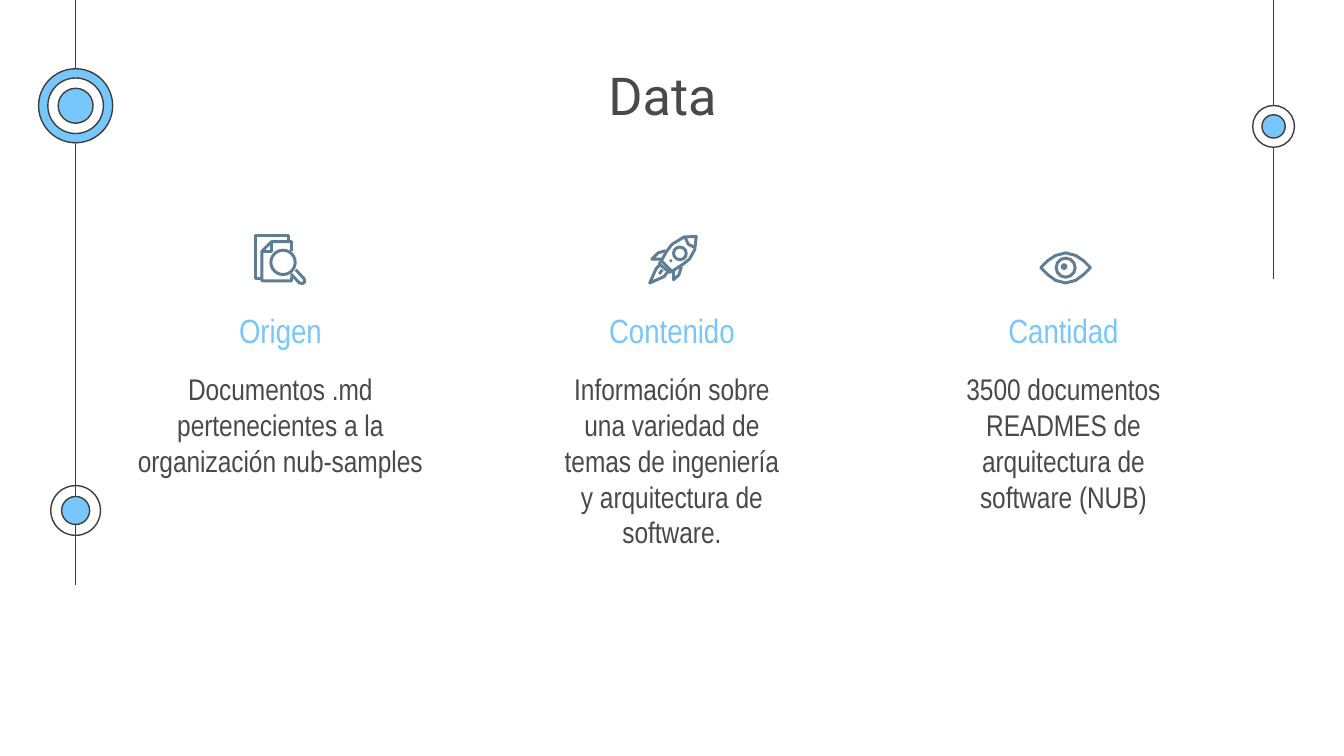
"""Build the "Data" slide: three icon columns between two decorated side lines."""
from dataclasses import dataclass

from lxml import etree
from pptx import Presentation
from pptx import util as u
from pptx.dml.color import RGBColor
from pptx.enum import shapes, text
from pptx.oxml.ns import qn


@dataclass(frozen=True)
class Theme:
    dark: RGBColor = RGBColor.from_string("3D3D3D")
    ink: RGBColor = RGBColor.from_string("494949")
    sky: RGBColor = RGBColor.from_string("77C6FC")
    white: RGBColor = RGBColor.from_string("FFFFFF")
    steel: RGBColor = RGBColor.from_string("5F7D95")
    title_font: str = "Roboto"
    body_font: str = "Arial Narrow"
    title_size: u.Pt = u.Pt(28)
    heading_size: u.Pt = u.Pt(18)
    body_size: u.Pt = u.Pt(16)
    thin: u.Pt = u.Pt(0.75)
    stroke: u.Pt = u.Pt(1.6)


theme = Theme()
presentation = Presentation()
presentation.slide_width, presentation.slide_height = u.Cm(25.4), u.Cm(14.29)
slide = presentation.slides.add_slide(presentation.slide_layouts[6])


def add_circle(x, y, diameter, fill, line, width):
    left, top = u.Cm(x - diameter / 2), u.Cm(y - diameter / 2)
    circle = slide.shapes.add_shape(
        shapes.MSO_SHAPE.OVAL, left, top, u.Cm(diameter), u.Cm(diameter))
    circle.shadow.inherit = False
    if fill is None:
        circle.fill.background()
    else:
        circle.fill.solid()
        circle.fill.fore_color.rgb = fill
    circle.line.color.rgb = line
    circle.line.width = width


def add_text(words, center, top, width, height, font, size, color):
    box = slide.shapes.add_textbox(
        u.Cm(center - width / 2), u.Cm(top), u.Cm(width), u.Cm(height))
    frame = box.text_frame
    frame.word_wrap = True
    frame.margin_left = frame.margin_right = u.Cm(0.25)
    frame.margin_top = frame.margin_bottom = u.Cm(0.25)
    frame.text = words
    paragraph = frame.paragraphs[0]
    paragraph.alignment = text.PP_ALIGN.CENTER
    run = paragraph.runs[0]
    run.font.name, run.font.size, run.font.color.rgb = font, size, color


left_x, right_x = 1.43, 24.07
for x, bottom in ((left_x, 11.05), (right_x, 5.28)):
    connector = slide.shapes.add_connector(
        shapes.MSO_CONNECTOR.STRAIGHT, u.Cm(x), u.Cm(0), u.Cm(x), u.Cm(bottom))
    connector.line.color.rgb = theme.dark
    connector.line.width = theme.thin
    etree.SubElement(connector._element.spPr, qn("a:effectLst"))

rings = [
    (left_x, 2, 1.4, theme.sky),
    (left_x, 2, 1.05, theme.white),
    (left_x, 2, 0.66, theme.sky),
    (left_x, 9.65, 0.94, None),
    (left_x, 9.65, 0.53, theme.sky),
    (right_x, 2.39, 0.79, theme.white),
    (right_x, 2.39, 0.44, theme.sky),
]
for x, y, diameter, fill in rings:
    add_circle(x, y, diameter, fill, theme.dark, theme.thin)

add_text("Data", 12.52, 0.94, 15.5, 1.65,
         theme.title_font, theme.title_size, theme.ink)

columns = [
    ("Origen", "Documentos .md pertenecientes a la organización nub-samples", 6, 4.52),
    ("Contenido", "Información sobre una variedad de temas de ingeniería "
                  "y arquitectura de software.", 4.9, 5.33),
    ("Cantidad", "3500 documentos READMES de arquitectura de software (NUB)", 4.9, 3.23),
]
for index, (heading, body, width, height) in enumerate(columns):
    center = 5.3 + 7.4 * index
    add_text(heading, center, 5.61, 6, 0.91,
             theme.body_font, theme.heading_size, theme.sky)
    add_text(body, center, 6.76, width, height,
             theme.body_font, theme.body_size, theme.ink)

back_page = [(546, 457), (546, 445), (483, 445), (483, 526), (495, 526)]
front_page = [(551, 475), (551, 457), (513, 457), (495, 475), (495, 531),
              (551, 531), (551, 523)]
page_fold = [(513, 457), (513, 475), (495, 475)]
lens_handle = [(559, 510), (575, 527), (576, 533), (572, 536), (566, 535), (550, 518)]
rocket_body = [(1316, 447), (1293, 448), (1270, 462), (1260, 475), (1250, 493),
               (1246, 499), (1265, 515), (1273, 511), (1290, 500), (1303, 490),
               (1313, 472), (1316, 447)]
rocket_nose = [(1295, 449), (1301, 462), (1314, 468)]
left_fin = [(1258, 474), (1244, 478), (1232, 490), (1250, 490)]
right_fin = [(1288, 504), (1283, 520), (1273, 529), (1273, 512)]
flame = [(1246, 502), (1240, 508), (1228, 535), (1255, 523), (1261, 515)]
flame_core = [(1246, 518), (1252, 510)]
rocket_base = [(1250, 493), (1269, 512)]
eye = [(1967, 506), (1980, 493), (1995, 483), (2014, 478), (2033, 483), (2048, 493),
       (2061, 506), (2048, 519), (2033, 530), (2014, 535), (1995, 530), (1980, 519),
       (1967, 506)]
for outline in (back_page, front_page, page_fold, lens_handle, rocket_body, rocket_nose,
                left_fin, right_fin, flame, flame_core, rocket_base, eye):
    builder = slide.shapes.build_freeform(*outline[0], scale=u.Cm(0.01))
    builder.add_line_segments(outline[1:], close=outline[0] == outline[-1])
    shape = builder.convert_to_shape()
    shape.shadow.inherit = False
    shape.fill.background()
    shape.line.color.rgb = theme.steel
    shape.line.width = theme.stroke

icon_circles = [
    (5.35, 4.96, 0.46, None, theme.stroke),
    (12.85, 4.79, 0.24, None, theme.stroke),
    (12.68, 4.93, 0.03, theme.steel, theme.thin),
    (20.14, 5.06, 0.36, None, theme.stroke),
    (20.11, 5.04, 0.1, theme.steel, theme.thin),
]
for x, y, diameter, fill, width in icon_circles:
    add_circle(x, y, diameter, fill, theme.steel, width)

presentation.save("out.pptx")
